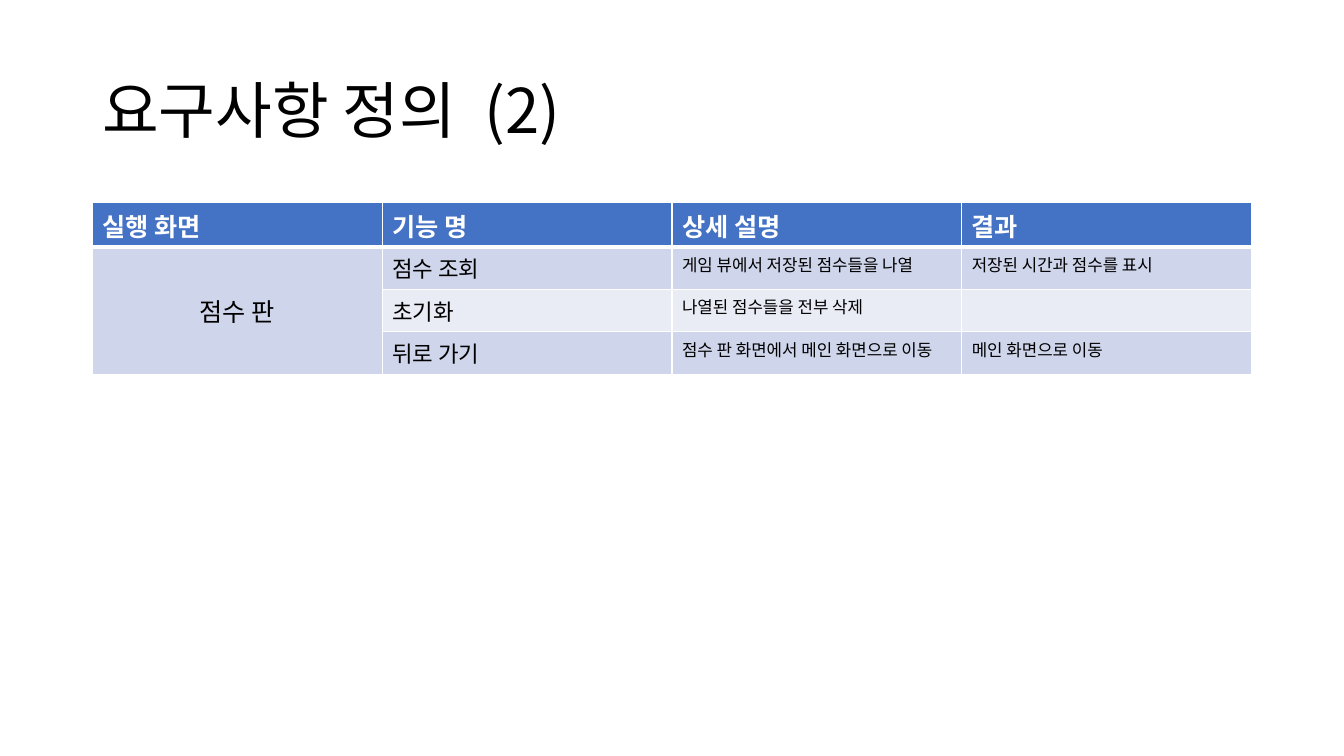
from dataclasses import dataclass

from lxml.etree import SubElement
from pptx import Presentation
from pptx.dml.color import RGBColor as Rgb
from pptx.enum.text import MSO_ANCHOR as Anchor, PP_ALIGN as Align
from pptx.oxml.ns import qn
from pptx.util import Cm, Pt


@dataclass(frozen=True)
class Theme:
    """Colours, type sizes and font of the slide."""
    font: str = "Noto Sans CJK KR"
    ink: str = "000000"
    white: str = "FFFFFF"
    header: str = "4472C4"
    bands: tuple = ("CFD5EA", "E9EBF5")
    title_size: int = 44
    header_size: int = 18
    function_size: int = 16
    detail_size: int = 12


class SlideBuilder:
    """Draws styled elements on one slide."""

    def __init__(self, slide, theme):
        self.slide, self.theme = slide, theme

    def add_text(self, paragraph, text, size, color, bold=False, tracking=0):
        """Add one formatted run of text to a paragraph."""
        run = paragraph.add_run()
        run.text = text
        formats = {"name": self.theme.font, "size": Pt(size), "bold": bold}
        for attribute, value in formats.items():
            setattr(run.font, attribute, value)
        run.font.color.rgb = Rgb.from_string(color)
        properties = run._r.get_or_add_rPr()
        properties.set("spc", str(tracking * 100))
        SubElement(properties, qn("a:ea"), typeface=self.theme.font)

    def title(self, words, number, left, top, width, height):
        """Add the heading with a widened space before its number."""
        frame = self.slide.shapes.add_textbox(
            Cm(left), Cm(top), Cm(width), Cm(height)).text_frame
        formats = {"word_wrap": True, "vertical_anchor": Anchor.MIDDLE}
        for attribute, value in formats.items():
            setattr(frame, attribute, value)
        heading = frame.paragraphs[0]
        heading.line_spacing = 0.9
        for text, tracking in ((words, 0), (" ", 10), (number, 0)):
            self.add_text(heading, text, self.theme.title_size, self.theme.ink,
                          tracking=tracking)

    def borders(self, cell, widths):
        """Draw white cell borders, with widths in points by side."""
        properties = cell._tc.get_or_add_tcPr()
        for side, width in widths.items():
            line = SubElement(properties, qn(f"a:ln{side}"), w=str(Pt(width)))
            fill = SubElement(line, qn("a:solidFill"))
            SubElement(fill, qn("a:srgbClr"), val=self.theme.white)

    def cell(self, cell, text, size, row):
        """Style and fill one table cell according to its row."""
        theme = self.theme
        is_header = row == 0
        self.borders(cell, {"L": 1, "R": 1, "T": 3 if row == 1 else 1,
                            "B": 3 if is_header else 1})
        cell.fill.solid()
        cell.fill.fore_color.rgb = Rgb.from_string(
            theme.header if is_header else theme.bands[(row - 1) % 2])
        paragraph = cell.text_frame.paragraphs[0]
        if text:
            self.add_text(paragraph, text, size,
                          theme.white if is_header else theme.ink, is_header)
        else:
            SubElement(paragraph._p, qn("a:endParaRPr"), sz=str(size * 100))

    def requirements(self, rows, left, top, width, row_heights):
        """Add the table whose first column is one merged screen name."""
        theme = self.theme
        table = self.slide.shapes.add_table(
            len(rows), len(rows[0]), Cm(left), Cm(top), Cm(width),
            Cm(sum(row_heights))).table
        body_sizes = (theme.header_size, theme.function_size,
                      theme.detail_size, theme.detail_size)
        for row, (texts, height) in enumerate(zip(rows, row_heights)):
            table.rows[row].height = Cm(height)
            for column, (text, body_size) in enumerate(zip(texts, body_sizes)):
                size = body_size if row else theme.header_size
                self.cell(table.cell(row, column), text, size, row)
        screen = table.cell(1, 0)
        screen.merge(table.cell(len(rows) - 1, 0))
        screen.vertical_anchor = Anchor.MIDDLE
        screen.text_frame.paragraphs[0].alignment = Align.CENTER


REQUIREMENTS = (
    ("실행 화면", "기능 명", "상세 설명", "결과"),
    ("점수 판", "점수 조회", "게임 뷰에서 저장된 점수들을 나열", "저장된 시간과 점수를 표시"),
    ("", "초기화", "나열된 점수들을 전부 삭제", ""),
    ("", "뒤로 가기", "점수 판 화면에서 메인 화면으로 이동", "메인 화면으로 이동"),
)


def main():
    """Build and save the requirements slide."""
    deck = Presentation()
    deck.slide_width, deck.slide_height = Cm(33.87), Cm(19.05)
    builder = SlideBuilder(deck.slides.add_slide(deck.slide_layouts[6]), Theme())
    left, width = 2.33, 29.21
    builder.title("요구사항 정의", "(2)", left, 1.01, width, 3.68)
    builder.requirements(REQUIREMENTS, left, 5.09, width, (1.13, 1.07, 1.07, 1.07))
    deck.save("out.pptx")


if __name__ == "__main__":
    main()
